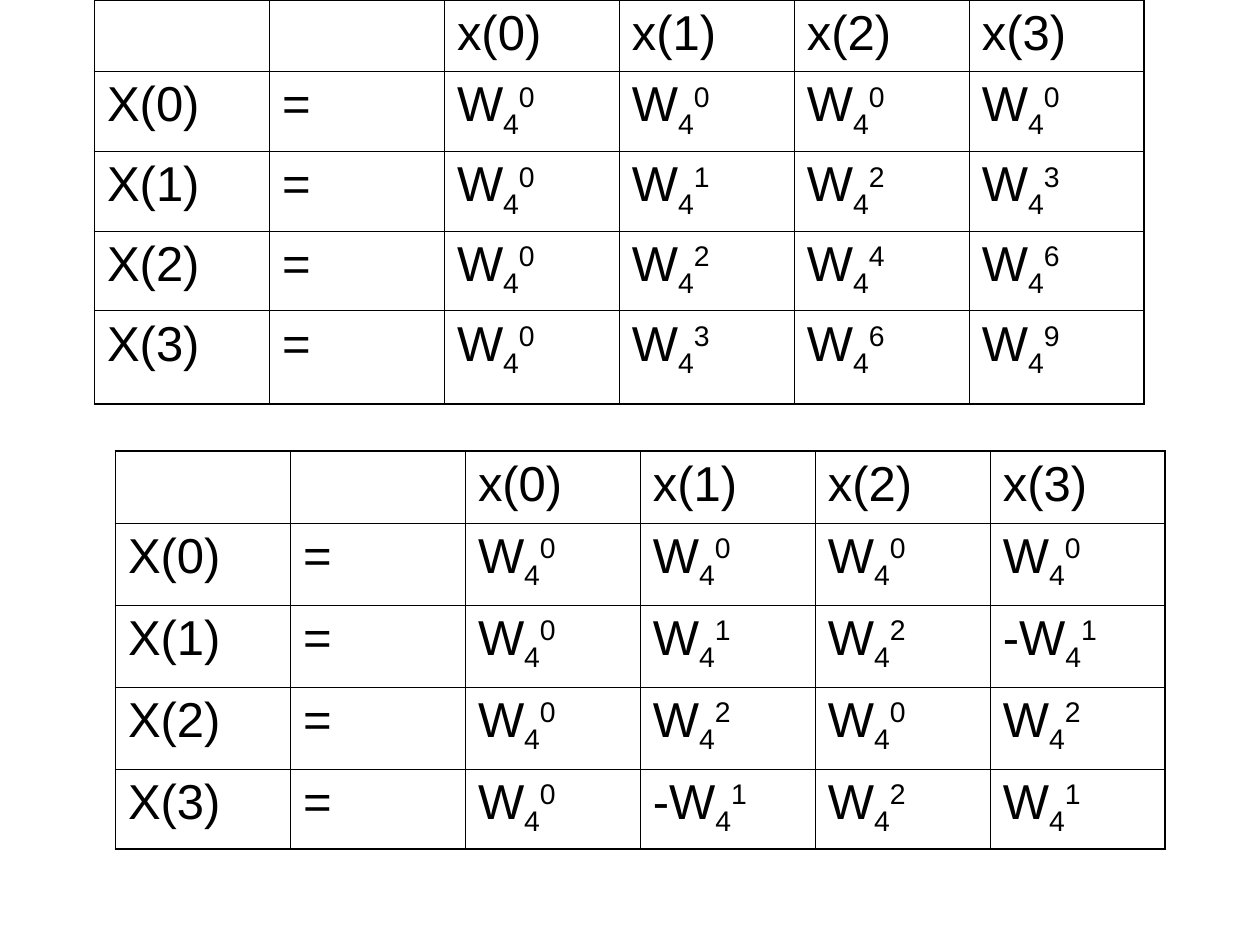
from pptx import Presentation
from pptx.dml.color import RGBColor as RGB
from pptx.oxml import parse_xml
from pptx.oxml.ns import nsdecls
from pptx.util import Pt

COLORS = {"ink": "000000", "paper": "FFFFFF"}
FONT = {"name": "Arial", "size": Pt(28)}
COL_W = 100
THIN, THICK = 0.45, 1.08
SUB, SUP = "-25000", "30000"
HEADERS = ["x(0)", "x(1)", "x(2)", "x(3)"]
OUTPUTS = ["X(0)", "X(1)", "X(2)", "X(3)"]

TABLES = [
    {
        "left": 54, "top": 0,
        "heights": [40.8, 45.6, 45.6, 45.6, 53.5],
        "powers": [
            ["0", "0", "0", "0"],
            ["0", "1", "2", "3"],
            ["0", "2", "4", "6"],
            ["0", "3", "6", "9"],
        ],
    },
    {
        "left": 66, "top": 257.8,
        "heights": [41, 46.9, 46.9, 46.9, 45.6],
        "powers": [
            ["0", "0", "0", "0"],
            ["0", "1", "2", "-1"],
            ["0", "2", "0", "2"],
            ["0", "-1", "2", "1"],
        ],
    },
]


def twiddle(power):
    sign = "-" if power.startswith("-") else ""
    return [(sign + "W", None), ("4", SUB), (power.lstrip("-"), SUP)]


def build_rows(powers):
    rows = [[[], []] + [[(h, None)] for h in HEADERS]]
    for name, line in zip(OUTPUTS, powers):
        rows.append([[(name, None)], [("=", None)]] + [twiddle(n) for n in line])
    return rows


def set_borders(cell, outer):
    tcPr = cell._tc.get_or_add_tcPr()
    for side in "LRTB":
        width = Pt(THICK if side in outer else THIN)
        tcPr.append(parse_xml(
            f'<a:ln{side} {nsdecls("a")} w="{width}"><a:solidFill>'
            f'<a:srgbClr val="{COLORS["ink"]}"/></a:solidFill></a:ln{side}>'))


def write_runs(cell, runs):
    p = cell.text_frame.paragraphs[0]
    for text, baseline in runs:
        r = p.add_run()
        r.text = text
        for key, value in FONT.items():
            setattr(r.font, key, value)
        r.font.color.rgb = RGB.from_string(COLORS["ink"])
        if baseline:
            r.font._element.set("baseline", baseline)


def add_matrix(s, left, top, heights, powers):
    rows = build_rows(powers)
    n_rows, n_cols = len(rows), len(rows[0])
    table = s.shapes.add_table(n_rows, n_cols, Pt(left), Pt(top),
                               Pt(COL_W * n_cols), Pt(sum(heights))).table
    table.first_row = table.horz_banding = False
    for col in table.columns:
        col.width = Pt(COL_W)
    for i, (row, height) in enumerate(zip(rows, heights)):
        table.rows[i].height = Pt(height)
        for j, runs in enumerate(row):
            cell = table.cell(i, j)
            edges = {"L": j == 0, "R": j == n_cols - 1,
                     "T": i == 0, "B": i == n_rows - 1}
            set_borders(cell, [side for side, on in edges.items() if on])
            cell.fill.solid()
            cell.fill.fore_color.rgb = RGB.from_string(COLORS["paper"])
            write_runs(cell, runs)


def main():
    prs = Presentation()
    prs.slide_width, prs.slide_height = Pt(720), Pt(540)
    s = prs.slides.add_slide(prs.slide_layouts[6])
    for matrix in TABLES:
        add_matrix(s, **matrix)
    prs.save("out.pptx")


if __name__ == "__main__":
    main()
